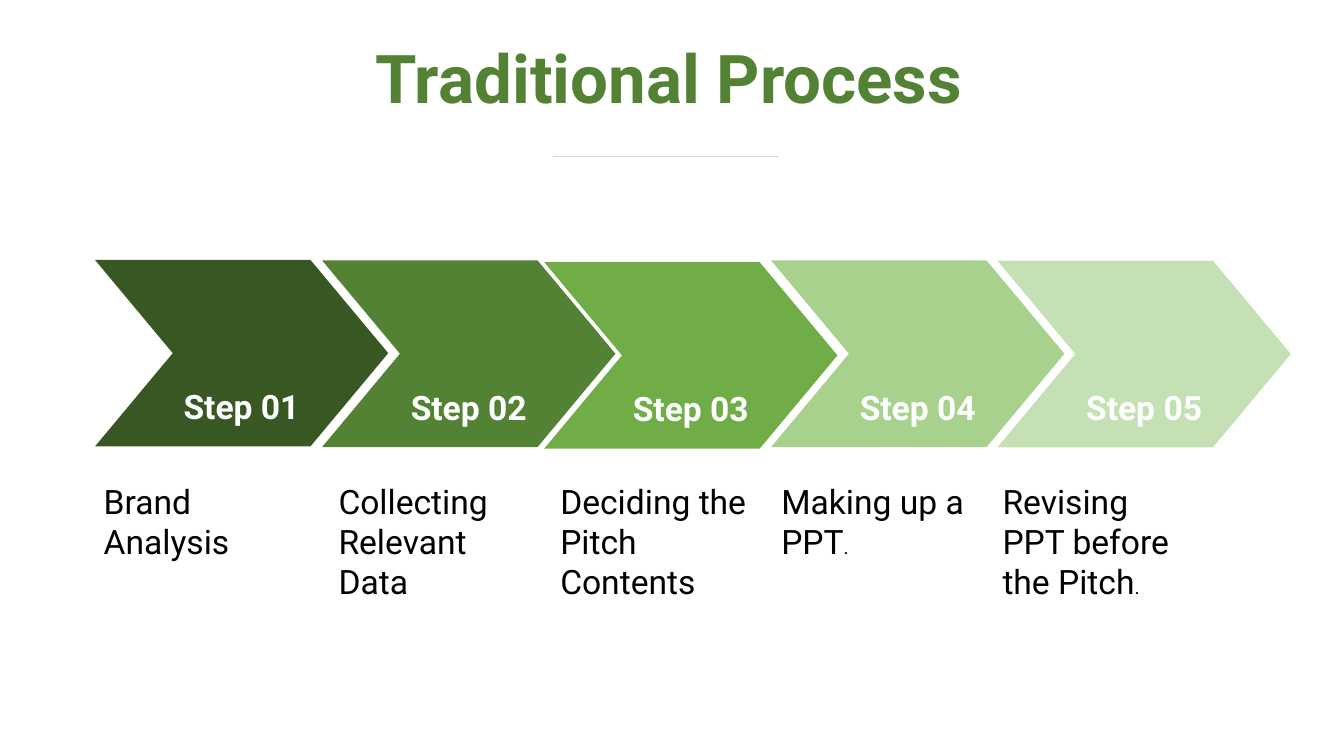
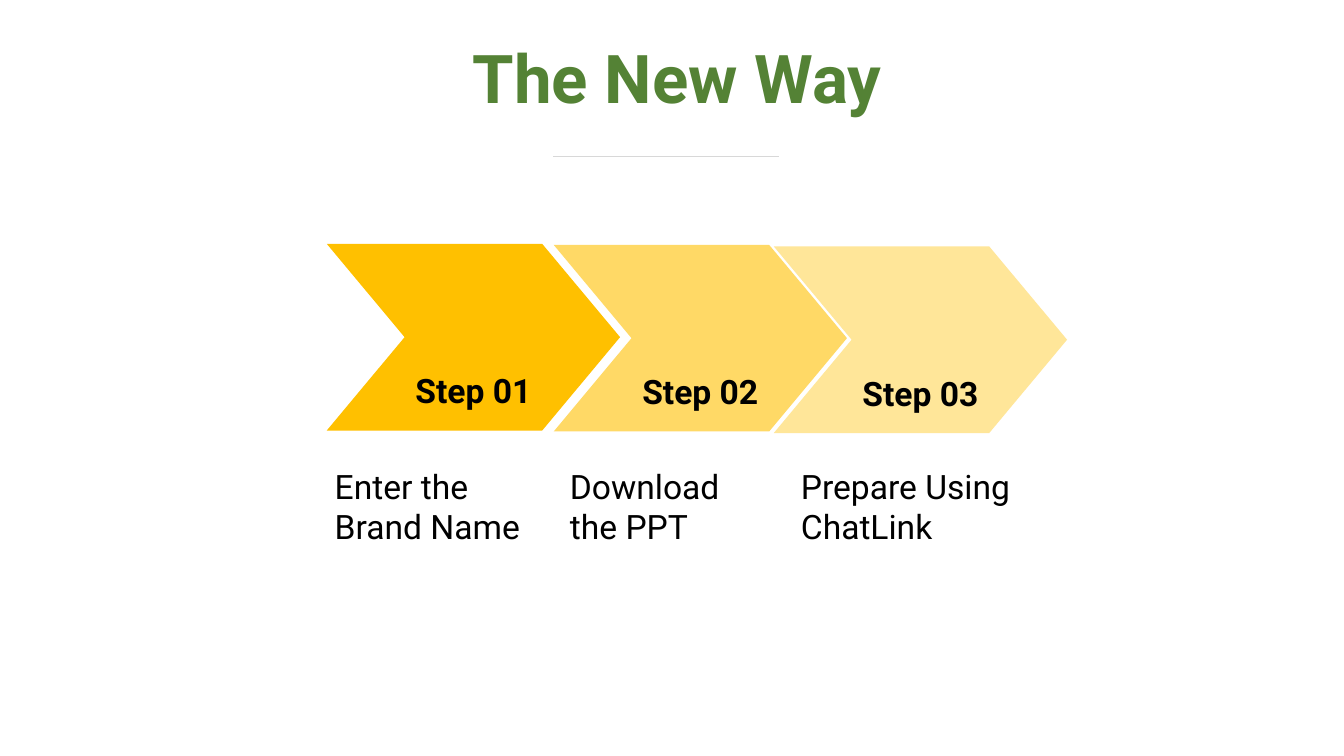
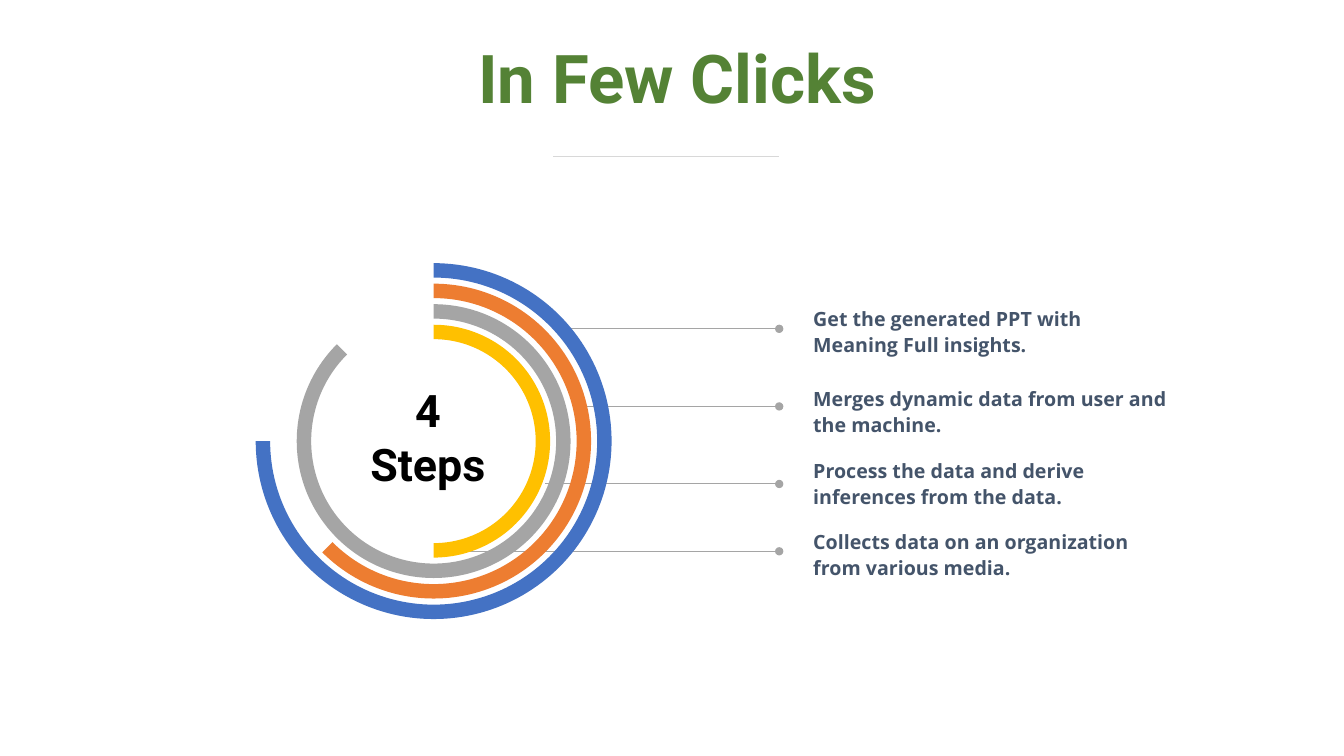
from lxml.etree import SubElement
from pptx import Presentation
from pptx.dml.color import RGBColor
from pptx.enum.shapes import MSO_CONNECTOR, MSO_SHAPE
from pptx.enum.text import MSO_ANCHOR, MSO_AUTO_SIZE, PP_ALIGN
from pptx.oxml.ns import qn
from pptx.util import Pt

GREEN, BLACK, WHITE, SLATE = "548235", "000000", "FEFFFF", "44546A"
RULE, GRAY = "D8D8D8", "A5A5A5"
RULE_LEFT, RULE_RIGHT, RULE_TOP = 395.3, 556.6, 111.6
CHEVRON_WIDTH, CHEVRON_HEIGHT = 209.5, 133.3


def write(frame, text, size, colour, bold=False, font="Roboto",
          align=PP_ALIGN.LEFT, spacing=1.0):
    """Fill a text frame, one paragraph per line of text, in one style."""
    frame.word_wrap = True
    frame.auto_size = MSO_AUTO_SIZE.NONE
    frame.text = text
    for para in frame.paragraphs:
        para.alignment = align
        para.line_spacing = spacing
        para.font.name = font
        para.font.size = Pt(size)
        para.font.bold = bold
        para.font.color.rgb = RGBColor.from_string(colour)


def add_rule(page, left, right, top, colour):
    rule = page.shapes.add_connector(
        MSO_CONNECTOR.STRAIGHT, Pt(left), Pt(top), Pt(right), Pt(top))
    rule.line.color.rgb = RGBColor.from_string(colour)
    rule.line.width = Pt(0.75)
    SubElement(rule._element.spPr, qn("a:effectLst"))
    return rule


deck = Presentation()
deck.slide_width, deck.slide_height = Pt(960), Pt(540)

# Titles and the rule below them
pages = []
for title in ("Traditional Process ", "The New Way", "In Few Clicks"):
    page = deck.slides.add_slide(deck.slide_layouts[5])
    box = page.shapes.title
    box.left, box.top, box.width, box.height = Pt(36.7), Pt(36), Pt(894.2), Pt(44.6)
    write(box.text_frame, title, 48, GREEN, bold=True,
          align=PP_ALIGN.CENTER, spacing=0.9)
    box.text_frame.vertical_anchor = MSO_ANCHOR.MIDDLE
    add_rule(page, RULE_LEFT, RULE_RIGHT, RULE_TOP, RULE)
    pages.append(page)
traditional, new_way, clicks = pages

# Chevron processes: chevron left and top, fill, caption left and width, caption
processes = [
    (traditional, WHITE, 339.8, [
        (67.8, 185.6, "385723", 67, 162.7, "Brand Analysis"),
        (230.1, 186, "548235", 234.7, 152.6, "Collecting Relevant Data"),
        (388.7, 187.2, "70AD47", 393.1, 152.6, "Deciding the Pitch Contents"),
        (550.8, 186, "A9D18E", 551, 152.6, "Making up a PPT."),
        (712.5, 186.2, "C5E0B4", 709, 152.6, "Revising PPT before the Pitch."),
    ]),
    (new_way, BLACK, 329, [
        (233.4, 174.2, "FFC000", 232, 162.7, "Enter the Brand Name"),
        (395.5, 174.9, "FFD966", 400, 152.6, "Download the PPT"),
        (552.7, 176, "FFE699", 565, 295, "Prepare Using\nChatLink"),
    ]),
]
for page, label_colour, caption_top, steps in processes:
    for number, step in enumerate(steps, 1):
        left, top, fill, caption_left, caption_width, caption = step
        chevron = page.shapes.add_shape(
            MSO_SHAPE.CHEVRON, Pt(left), Pt(top),
            Pt(CHEVRON_WIDTH), Pt(CHEVRON_HEIGHT))
        chevron.adjustments[0] = 0.417
        chevron.shadow.inherit = False
        chevron.fill.solid()
        chevron.fill.fore_color.rgb = RGBColor.from_string(fill)
        chevron.line.fill.background()
        write(chevron.text_frame, f"Step {number:02}", 24, label_colour,
              bold=True, align=PP_ALIGN.CENTER)
        chevron.text_frame.vertical_anchor = MSO_ANCHOR.BOTTOM
        chevron.text_frame.margin_bottom = Pt(14.4)

        box = page.shapes.add_textbox(
            Pt(caption_left), Pt(caption_top), Pt(caption_width), Pt(99.4))
        write(box.text_frame, caption.removesuffix("."), 24, BLACK)
        if caption.endswith("."):
            span = box.text_frame.paragraphs[-1].add_run()
            span.text = "."
            span.font.size = Pt(14)

# Leader lines with their notes: line left and top, note top, note
leaders = [
    (404, 234.9, 213.8, "Get the generated PPT with Meaning Full insights."),
    (416, 290.3, 271.2, "Merges dynamic data from user and the machine."),
    (389.5, 345.7, 322.6, "Process the data and derive inferences from the data."),
    (320.5, 393.8, 373.2, "Collects data on an organization\nfrom various media."),
]
for left, top, note_top, note in leaders:
    leader = add_rule(clicks, left, RULE_RIGHT, top, GRAY)
    SubElement(leader.line._get_or_add_ln(), qn("a:tailEnd"), type="oval")
    box = clicks.shapes.add_textbox(Pt(573.8), Pt(note_top), Pt(267.8), Pt(57.6))
    write(box.text_frame, note, 14, SLATE, bold=True, font="Open Sans", spacing=1.1)

# Concentric rings, outermost first, each starting at twelve o'clock
CENTER_X, CENTER_Y = 309.8, 315.1
OUTER_RADIUS, RING_STEP, RING_WIDTH = 127.1, 14.65, 10.3
ANGLE_UNIT = 0.6  # one degree as an adjustment value
rings = [("4472C4", 180), ("ED7D31", 135), (GRAY, 225), ("FFC000", 90)]
for index, (fill, end_angle) in enumerate(rings):
    radius = OUTER_RADIUS - index * RING_STEP
    ring = clicks.shapes.add_shape(
        MSO_SHAPE.BLOCK_ARC, Pt(CENTER_X - radius), Pt(CENTER_Y - radius),
        Pt(2 * radius), Pt(2 * radius))
    ring.adjustments[0] = 270 * ANGLE_UNIT
    ring.adjustments[1] = end_angle * ANGLE_UNIT
    ring.adjustments[2] = RING_WIDTH / (2 * radius)
    ring.shadow.inherit = False
    ring.fill.solid()
    ring.fill.fore_color.rgb = RGBColor.from_string(fill)
    ring.line.fill.background()

box = clicks.shapes.add_textbox(Pt(229.7), Pt(270), Pt(152), Pt(101.5))
write(box.text_frame, "4\nSteps", 32, BLACK, bold=True, align=PP_ALIGN.CENTER)

deck.save("out.pptx")
